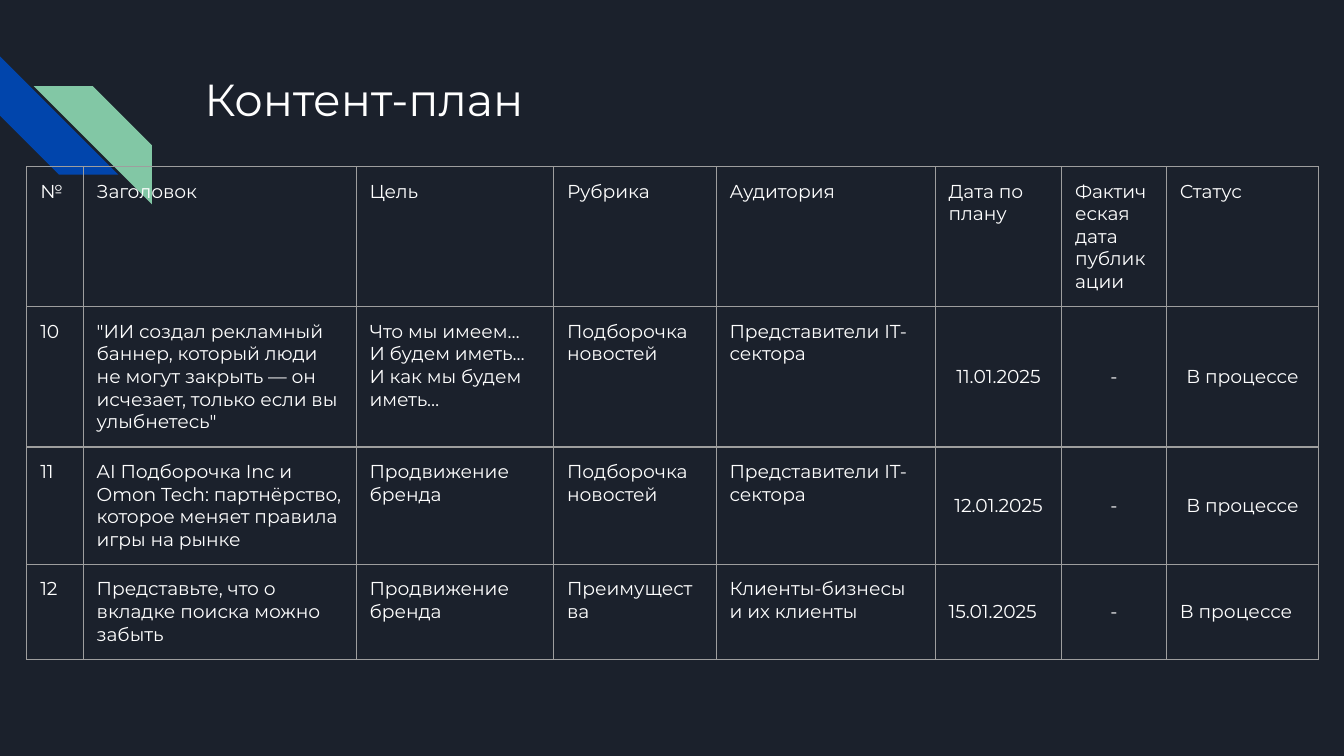
from lxml import etree
from pptx import Presentation
from pptx import util as u
from pptx.dml.color import RGBColor
from pptx.enum import shapes, text
from pptx.oxml import ns

WIDTH = 10
HEIGHT = WIDTH * 9 / 16
NAVY = RGBColor(0x1B, 0x21, 0x2C)
BLUE = RGBColor(0x01, 0x45, 0xAC)
GREEN = RGBColor(0x82, 0xC7, 0xA5)
WHITE = RGBColor(0xFF, 0xFF, 0xFF)
GREY = RGBColor(0x9E, 0x9E, 0x9E)
FONT = "Montserrat"
INSET = u.Inches(0.1)

TITLE = "Контент-план"
COLUMNS = [
    ("№", 0.42),
    ("Заголовок", 2.03),
    ("Цель", 1.47),
    ("Рубрика", 1.21),
    ("Аудитория", 1.63),
    ("Дата по плану", 0.94),
    ("Фактическая дата публикации", 0.78),
    ("Статус", 1.13),
]
PLAN = [
    ("10", "\"ИИ создал рекламный баннер, который люди не могут закрыть — он исчезает, "
     "только если вы улыбнетесь\"",
     "Что мы имеем…\nИ будем иметь…\nИ как мы будем иметь…",
     "Подборочка новостей", "Представители IT-сектора", "11.01.2025", "-", "В процессе"),
    ("11", "AI Подборочка Inc и Omon Tech: партнёрство, которое меняет правила игры на рынке",
     "Продвижение бренда",
     "Подборочка новостей", "Представители IT-сектора", "12.01.2025", "-", "В процессе"),
    ("12", "Представьте, что о вкладке поиска можно забыть",
     "Продвижение бренда",
     "Преимущества", "Клиенты-бизнесы и их клиенты", "15.01.2025", "-", "В процессе"),
]
MIDDLE_COLUMNS = (5, 6, 7)
LEFT_ALIGNED = {(3, 5), (3, 7)}  # row and column of middle cells that are not centred
ROW_HEIGHT = 0.42

# left, top, rotation, mirrored, colour
STRIPES = [(0, 0.42, 270, False, BLUE), (0.25, 0.64, 0, True, GREEN)]
STRIPE_SIZE = 0.88


def write(frame, content, size=10, align=text.PP_ALIGN.LEFT):
    frame.word_wrap = True
    frame.text = content
    for paragraph in frame.paragraphs:
        paragraph.alignment = align
        font = paragraph.font
        font.size, font.name, font.bold = u.Pt(size), FONT, False
        font.color.rgb = WHITE


def set_insets(target):
    target.margin_left = target.margin_right = INSET
    target.margin_top = target.margin_bottom = INSET


def add_borders(cell):
    properties = cell._tc.get_or_add_tcPr()
    for side in ("lnL", "lnR", "lnT", "lnB"):
        line = etree.SubElement(properties, ns.qn(f"a:{side}"), w=str(u.Pt(0.75)))
        fill = etree.SubElement(line, ns.qn("a:solidFill"))
        etree.SubElement(fill, ns.qn("a:srgbClr"), val=str(GREY))


def add_stripe(slide, left, top, rotation, mirrored, color):
    side = u.Inches(STRIPE_SIZE)
    stripe = slide.shapes.add_shape(
        shapes.MSO_SHAPE.DIAGONAL_STRIPE, u.Inches(left), u.Inches(top), side, side)
    stripe.adjustments[0] = 0.5
    stripe.rotation = rotation
    stripe.shadow.inherit = False
    stripe.fill.solid()
    stripe.fill.fore_color.rgb = color
    stripe.line.fill.background()
    if mirrored:
        stripe._element.spPr.xfrm.set("flipH", "1")


def add_title(slide):
    title = slide.shapes.title
    title.left, title.top = u.Inches(1.42), u.Inches(0.43)
    title.width, title.height = u.Inches(7.7), u.Inches(1)
    frame = title.text_frame
    set_insets(frame)
    frame.vertical_anchor = text.MSO_ANCHOR.TOP
    write(frame, TITLE, size=24)


def add_plan_table(slide):
    headings, widths = zip(*COLUMNS)
    rows = [headings, *PLAN]
    table = slide.shapes.add_table(
        len(rows), len(COLUMNS), u.Inches(0.2), u.Inches(1.24),
        u.Inches(sum(widths)), u.Inches(ROW_HEIGHT * len(rows))).table
    table.first_row = table.horz_banding = False
    for column, width in zip(table.columns, widths):
        column.width = u.Inches(width)
    for r, row in enumerate(rows):
        for c, content in enumerate(row):
            cell = table.cell(r, c)
            middle = r > 0 and c in MIDDLE_COLUMNS
            centred = middle and (r, c) not in LEFT_ALIGNED
            set_insets(cell)
            cell.vertical_anchor = text.MSO_ANCHOR.MIDDLE if middle else text.MSO_ANCHOR.TOP
            add_borders(cell)
            cell.fill.background()
            write(cell.text_frame, content,
                  align=text.PP_ALIGN.CENTER if centred else text.PP_ALIGN.LEFT)


def main():
    presentation = Presentation()
    presentation.slide_width = u.Inches(WIDTH)
    presentation.slide_height = u.Inches(HEIGHT)
    slide = presentation.slides.add_slide(presentation.slide_layouts[5])
    slide.background.fill.solid()
    slide.background.fill.fore_color.rgb = NAVY
    for stripe in STRIPES:
        add_stripe(slide, *stripe)
    add_title(slide)
    add_plan_table(slide)
    presentation.save("out.pptx")


if __name__ == "__main__":
    main()
